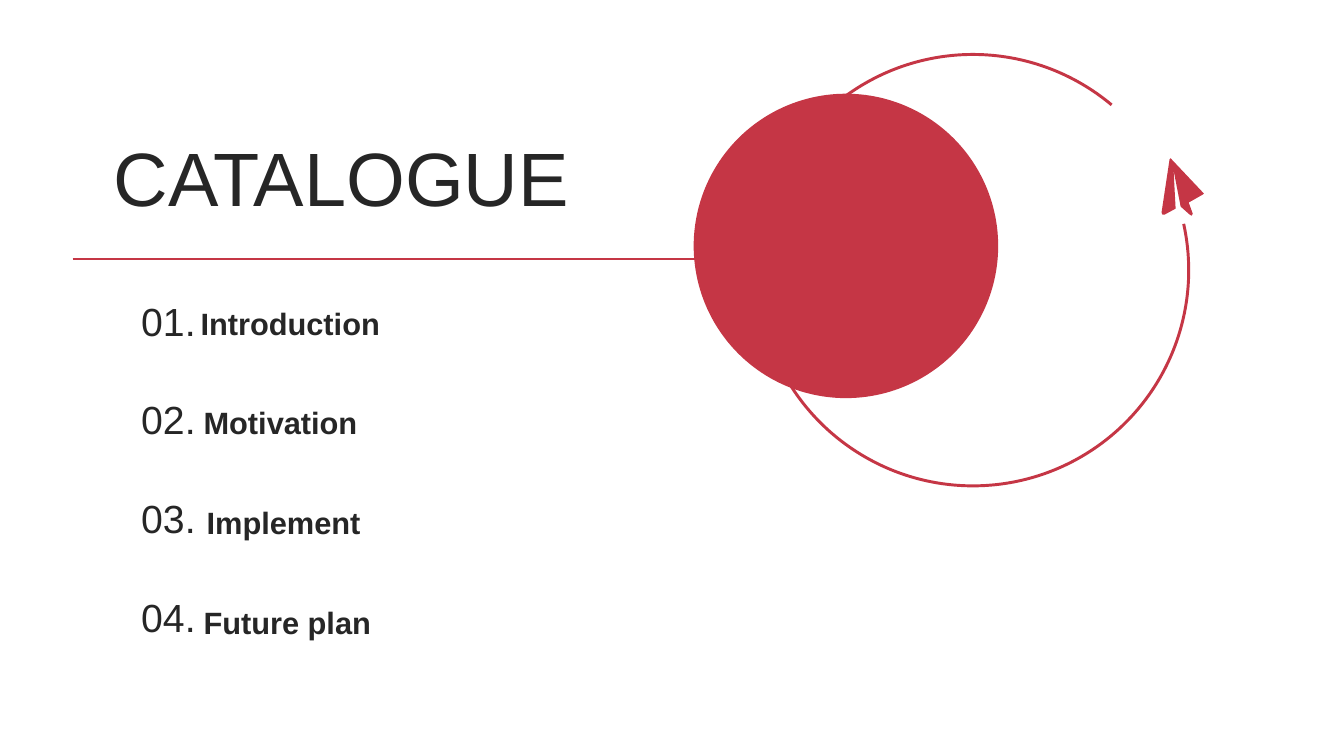
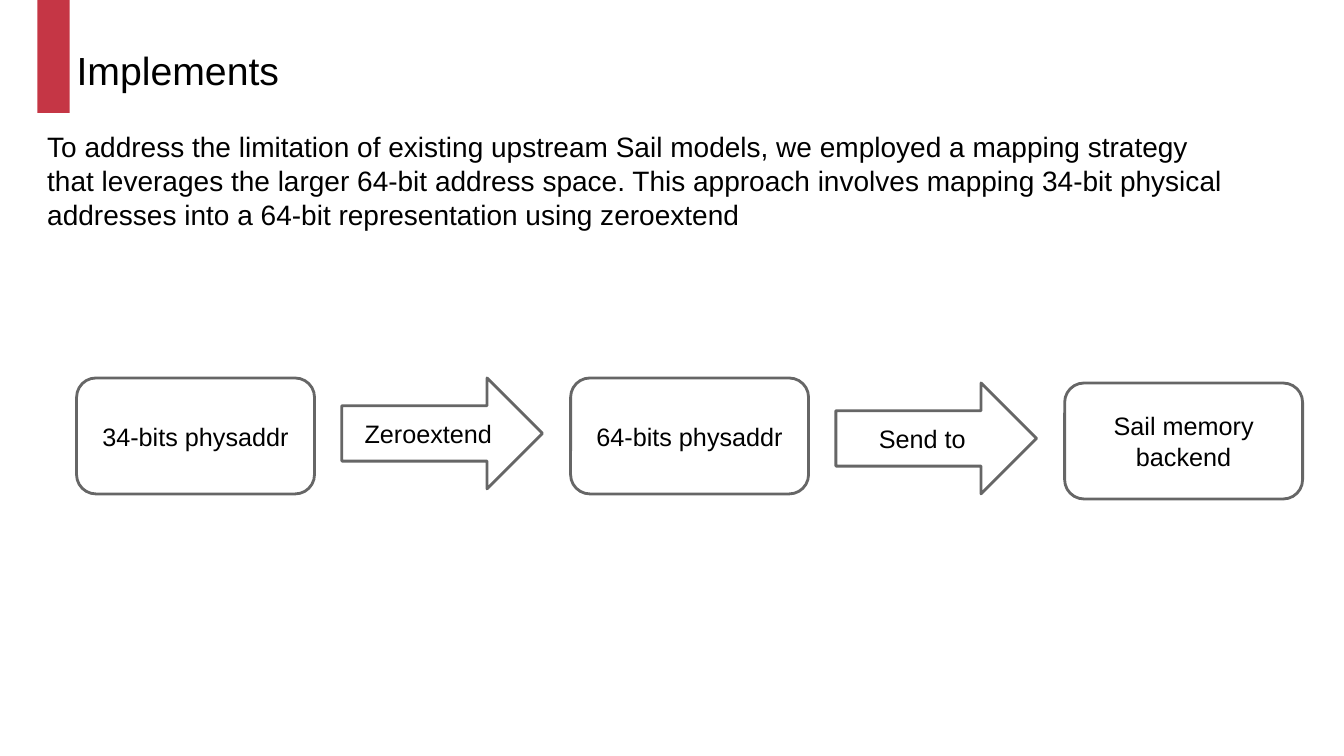
from dataclasses import dataclass

from lxml.etree import SubElement
from pptx import Presentation
from pptx.dml.color import RGBColor
from pptx.enum.shapes import MSO_CONNECTOR, MSO_SHAPE as Preset
from pptx.enum.text import MSO_ANCHOR as Anchor, PP_ALIGN as Align
from pptx.oxml.ns import qn
from pptx.util import Inches, Pt


@dataclass(frozen=True)
class Theme:
    font: str = "Arial"
    accent: RGBColor = RGBColor(0xC5, 0x36, 0x45)
    dark: RGBColor = RGBColor(0x26, 0x26, 0x26)
    black: RGBColor = RGBColor(0, 0, 0)
    white: RGBColor = RGBColor(0xFF, 0xFF, 0xFF)
    outline: RGBColor = RGBColor(0x66, 0x66, 0x66)
    cover_size: int = 54
    heading_size: int = 28
    topic_size: int = 22
    body_size: int = 20
    step_size: int = 18
    rule_width: float = 1.75
    step_width: float = 2
    ring_width: float = 2.1


@dataclass(frozen=True)
class Area:
    left: float
    top: float
    width: float
    height: float

    def lengths(self) -> tuple:
        return tuple(Inches(n) for n in (self.left, self.top, self.width, self.height))


@dataclass(frozen=True)
class Style:
    size: int
    color: RGBColor
    bold: bool = False
    align: Align = Align.LEFT
    anchor: Anchor = Anchor.MIDDLE


@dataclass(frozen=True)
class Topic:
    label: str
    left: float


@dataclass(frozen=True)
class Step:
    label: str
    preset: Preset
    left: float
    top: float


THEME = Theme()
COVER = Style(THEME.cover_size, THEME.dark)
NUMBER = Style(THEME.heading_size, THEME.dark, align=Align.RIGHT)
TOPIC = Style(THEME.topic_size, THEME.dark, bold=True, anchor=Anchor.TOP)
HEADING = Style(THEME.heading_size, THEME.black)
BODY = Style(THEME.body_size, THEME.black, anchor=Anchor.TOP)
STEP = Style(THEME.step_size, THEME.black, align=Align.CENTER)

TOPICS = (
    Topic("Introduction", 1.99),
    Topic("Motivation", 2.02),
    Topic("Implement", 2.05),
    Topic("Future plan", 2.02),
)

# Boxes and arrows alternate, one pair per pitch
FLOW_LEFT, FLOW_PITCH, ARROW_OFFSET = 0.76, 4.9, 2.63
UPPER_ROW, LOWER_ROW = 3.75, 3.8
STEP_SIZES = {Preset.ROUNDED_RECTANGLE: (2.36, 1.15), Preset.RIGHT_ARROW: (1.99, 1.1)}
STEPS = (
    Step("34-bits physaddr", Preset.ROUNDED_RECTANGLE, FLOW_LEFT, UPPER_ROW),
    Step("Zeroextend", Preset.RIGHT_ARROW, FLOW_LEFT + ARROW_OFFSET, UPPER_ROW),
    Step("64-bits physaddr", Preset.ROUNDED_RECTANGLE, FLOW_LEFT + FLOW_PITCH, UPPER_ROW),
    Step("Send to", Preset.RIGHT_ARROW, FLOW_LEFT + FLOW_PITCH + ARROW_OFFSET, LOWER_ROW),
    Step("Sail memory backend", Preset.ROUNDED_RECTANGLE, FLOW_LEFT + 2 * FLOW_PITCH, LOWER_ROW),
)

PLANE = (
    (11.94, 1.92), (11.61, 1.57), (11.6, 1.58), (11.52, 2.11), (11.53, 2.13),
    (11.55, 2.13), (11.66, 2.07), (11.64, 1.69), (11.71, 2.05), (11.8, 2.13),
    (11.82, 2.14), (11.83, 2.12), (11.79, 2.01), (11.93, 1.93),
)


# Shared drawing helpers
def write(box, text: str, style: Style) -> None:
    frame = box.text_frame
    frame.word_wrap = True
    frame.vertical_anchor = style.anchor
    para = frame.paragraphs[0]
    para.alignment = style.align
    span = para.add_run()
    span.text = text
    span.font.name = THEME.font
    span.font.size = Pt(style.size)
    span.font.bold = style.bold
    span.font.color.rgb = style.color


def add_text(page, area: Area, text: str, style: Style, inset: float = 0) -> None:
    box = page.shapes.add_textbox(*area.lengths())
    frame = box.text_frame
    frame.margin_left = frame.margin_right = Inches(inset)
    frame.margin_top = frame.margin_bottom = Inches(inset / 2)
    write(box, text, style)


def paint(shape, color: RGBColor) -> None:
    shape.shadow.inherit = False
    shape.fill.solid()
    shape.fill.fore_color.rgb = color
    shape.line.fill.background()


def outline(shape, color: RGBColor, width: float) -> None:
    shape.line.color.rgb = color
    shape.line.width = Pt(width)


def add_solid(page, preset: Preset, area: Area, color: RGBColor):
    shape = page.shapes.add_shape(preset, *area.lengths())
    paint(shape, color)
    return shape


def add_rule(page, left: float, right: float, top: float) -> None:
    rule = page.shapes.add_connector(
        MSO_CONNECTOR.STRAIGHT, Inches(left), Inches(top), Inches(right), Inches(top))
    outline(rule, THEME.accent, THEME.rule_width)
    SubElement(rule.line._get_or_add_ln().getparent(), qn("a:effectLst"))


def add_plane(page) -> None:
    points = [(Inches(x), Inches(y)) for x, y in PLANE]
    builder = page.shapes.build_freeform(*points[0])
    builder.add_line_segments(points[1:], close=True)
    paint(builder.convert_to_shape(), THEME.accent)


def add_ring(page, area: Area, start: float, end: float) -> None:
    ring = page.shapes.add_shape(Preset.ARC, *area.lengths())
    ring.shadow.inherit = False
    ring.fill.background()
    outline(ring, THEME.accent, THEME.ring_width)
    # Angles are stored in 60000ths of a degree, adjustments in 100000ths
    for index, degrees in enumerate((start, end)):
        ring.adjustments[index] = degrees * 0.6


def add_step(page, step: Step) -> None:
    area = Area(step.left, step.top, *STEP_SIZES[step.preset])
    shape = add_solid(page, step.preset, area, THEME.white)
    outline(shape, THEME.outline, THEME.step_width)
    write(shape, step.label, STEP)


def add_page(deck):
    return deck.slides.add_slide(deck.slide_layouts[6])


# Slides
def build_catalogue(deck) -> None:
    page = add_page(deck)
    add_plane(page)
    add_ring(page, Area(7.51, 0.54, 4.28, 4.28), 347.6, 310)
    add_rule(page, 0.72, 7.42, 2.57)
    add_solid(page, Preset.OVAL, Area(6.88, 0.93, 3.02, 3.02), THEME.accent)
    add_text(page, Area(1.13, 1.23, 4.9, 1.04), "CATALOGUE", COVER)
    for row, topic in enumerate(TOPICS):
        add_text(page, Area(1.26, 2.9 + 0.98 * row, 0.68, 0.56), f"{row + 1:02}.", NUMBER)
        add_text(page, Area(topic.left, 3.02 + 0.99 * row, 2, 0.42), topic.label, TOPIC)


def build_implements(deck) -> None:
    page = add_page(deck)
    add_solid(page, Preset.RECTANGLE, Area(0.37, 0, 0.32, 1.12), THEME.accent)
    add_text(page, Area(0.76, 0.41, 2.25, 0.56), "Implements", HEADING)
    add_text(
        page, Area(0.37, 1.24, 12.02, 1.27),
        "To address the limitation of existing upstream Sail models, we employed a mapping "
        "strategy that leverages the larger 64-bit address space. This approach involves "
        "mapping 34-bit physical addresses into a 64-bit representation using zeroextend",
        BODY, inset=0.1)
    for step in STEPS:
        add_step(page, step)


def main() -> None:
    deck = Presentation()
    deck.slide_width, deck.slide_height = Inches(13.33), Inches(7.5)
    build_catalogue(deck)
    build_implements(deck)
    deck.save("out.pptx")


if __name__ == "__main__":
    main()
